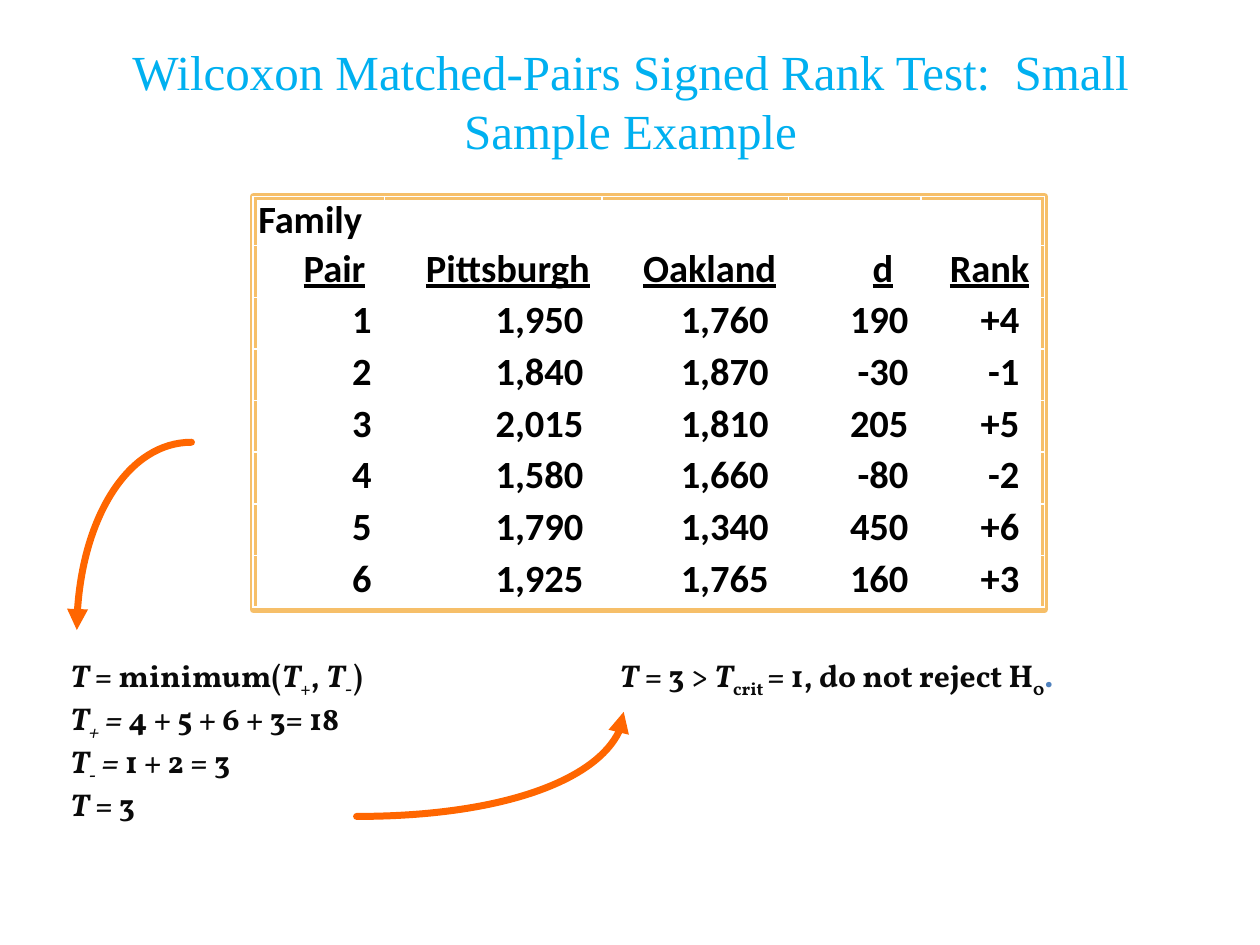
from pptx import Presentation
from pptx.dml.color import RGBColor
from pptx.enum.shapes import MSO_SHAPE
from pptx.enum.text import MSO_ANCHOR, MSO_AUTO_SIZE, PP_ALIGN
from pptx.oxml.ns import qn
from pptx.util import Inches, Pt
from lxml.etree import SubElement

INK = "0A0A0A"
HEADS = ["Pair", "Pittsburgh", "Oakland", "d", "Rank"]
PAIRS = [
    ["1", "1,950", "1,760", "190", "+4"],
    ["2", "1,840", "1,870", "-30", "-1"],
    ["3", "2,015", "1,810", "205", "+5"],
    ["4", "1,580", "1,660", "-80", "-2"],
    ["5", "1,790", "1,340", "450", "+6"],
    ["6", "1,925", "1,765", "160", "+3"],
]
# Column width, right margin of the heading, right margin of the values
COLS = [(1.04, 0.15, 0.1), (1.73, 0.1, 0.15), (1.48, 0.1, 0.16),
        (1.05, 0.22, 0.1), (0.98, 0.12, 0.2)]

# Runs of the formulas: text and style (i italic, s subscript)
STEPS = [
    [("T ", "i"), ("= minimum(", ""), ("T", "i"), ("+", "s"), (", ", ""),
     ("T", "i"), ("-", "s"), (")", "")],
    [("T", "i"), ("+", "is"), (" = ", "i"), ("4 + 5 + 6 + 3= 18", "")],
    [("T", "i"), ("-", "is"), (" = ", "i"), ("1 + 2 = 3", "")],
    [("T", "i"), (" = 3", "")],
]
RESULT = [[("T", "i"), (" = 3 > ", ""), ("T", "i"), ("crit ", "s"),
           ("= 1, do not reject H", ""), ("0", "s"), (".", "")]]


def rgb(code):
    return RGBColor.from_string(code)


def style(font, name, size, color, bold=False):
    font.name = name
    font.size = Pt(size)
    font.color.rgb = rgb(color)
    font.bold = bold


def add_title(slide, text):
    title = slide.shapes.title
    title.left, title.top = Inches(0.42), Inches(0.25)
    title.width, title.height = Inches(9.17), Inches(1.09)
    frame = title.text_frame
    frame.text = text
    frame.auto_size = MSO_AUTO_SIZE.NONE
    frame.vertical_anchor = MSO_ANCHOR.MIDDLE
    para = frame.paragraphs[0]
    para.alignment = PP_ALIGN.CENTER
    style(para.runs[0].font, "Times New Roman", 28, "00B0F0")


def add_frame(slide):
    box = slide.shapes.add_shape(MSO_SHAPE.RECTANGLE, Inches(2.01),
                                 Inches(1.56), Inches(6.28), Inches(3.28))
    box.shadow.inherit = False
    box.fill.solid()
    box.fill.fore_color.rgb = rgb("FFFFFF")
    box.line.color.rgb = rgb("F6BF69")
    box.line.width = Pt(4)


def set_cell(cell, text, gap, align=PP_ALIGN.RIGHT, under=False):
    cell.fill.background()
    cell.margin_left = Inches(0.04)
    cell.margin_right = Inches(gap)
    cell.margin_top = cell.margin_bottom = 0
    cell.text = text
    para = cell.text_frame.paragraphs[0]
    para.alignment = align
    style(para.font, "Calibri", 22, "000000", True)
    for run in para.runs:
        style(run.font, "Calibri", 22, "000000", True)
        run.font.underline = under


def add_data(slide):
    rows = [["Family", "", "", "", ""], HEADS] + PAIRS
    table = slide.shapes.add_table(len(rows), len(COLS), Inches(2.01),
                                   Inches(1.56), Inches(6.28),
                                   Inches(3.26)).table
    table.first_row = table.horz_banding = False
    for col, (width, _, _) in zip(table.columns, COLS):
        col.width = Inches(width)
    for r, texts in enumerate(rows):
        table.rows[r].height = Inches(0.41 if r else 0.39)
        for c, (_, head, value) in enumerate(COLS):
            set_cell(table.cell(r, c), texts[c], head if r < 2 else value,
                     PP_ALIGN.RIGHT if r else PP_ALIGN.LEFT, r == 1)


def add_math(slide, left, width, height, lines):
    box = slide.shapes.add_textbox(Inches(left), Inches(5.16),
                                   Inches(width), Inches(height))
    frame = box.text_frame
    frame.word_wrap = False
    for n, parts in enumerate(lines):
        para = frame.add_paragraph() if n else frame.paragraphs[0]
        for text, marks in parts:
            run = para.add_run()
            run.text = text
            style(run.font, "Vollkorn", 18, INK, True)
            run.font.italic = "i" in marks
            if "s" in marks:
                run.font._element.set("baseline", "-25000")
    return frame


def add_curve(slide, start, *points):
    """Bezier line through two control points, with its head at the start."""
    spots = [(Inches(x), Inches(y)) for x, y in points]
    pen = slide.shapes.build_freeform(Inches(start[0]), Inches(start[1]))
    pen.add_line_segments(spots, close=False)
    curve = pen.convert_to_shape()
    curve.shadow.inherit = False
    curve.fill.background()
    curve.line.color.rgb = rgb("FF6600")
    curve.line.width = Pt(4)

    # Turn the three segments into one cubic curve
    track = next(curve._element.iter(qn("a:path")))
    bend = SubElement(track, qn("a:cubicBezTo"))
    for step in track.findall(qn("a:lnTo")):
        bend.append(step[0])
        track.remove(step)

    # Round end and arrowhead
    line = curve.line._get_or_add_ln()
    line.set("cap", "rnd")
    SubElement(line, qn("a:round"))
    SubElement(line, qn("a:headEnd"), type="triangle")


def main():
    deck = Presentation()
    deck.slide_width, deck.slide_height = Inches(10), Inches(7.5)
    slide = deck.slides.add_slide(deck.slide_layouts[5])

    add_title(slide, "Wilcoxon Matched-Pairs Signed Rank Test:  "
                     "Small Sample Example")
    add_frame(slide)
    add_data(slide)

    # Working and decision
    add_math(slide, 0.46, 3.33, 1.71, STEPS)
    result = add_math(slide, 4.82, 5.01, 0.5, RESULT)
    result.paragraphs[0].runs[-1].font.color.rgb = rgb("4F81BD")

    # Arrows from the data to the working and on to the decision
    add_curve(slide, (4.95, 5.65), (4.95, 6.11), (4, 6.48), (2.83, 6.48))
    add_curve(slide, (0.61, 5), (0.61, 4.18), (1.02, 3.51), (1.52, 3.51))

    deck.save("out.pptx")


if __name__ == "__main__":
    main()
